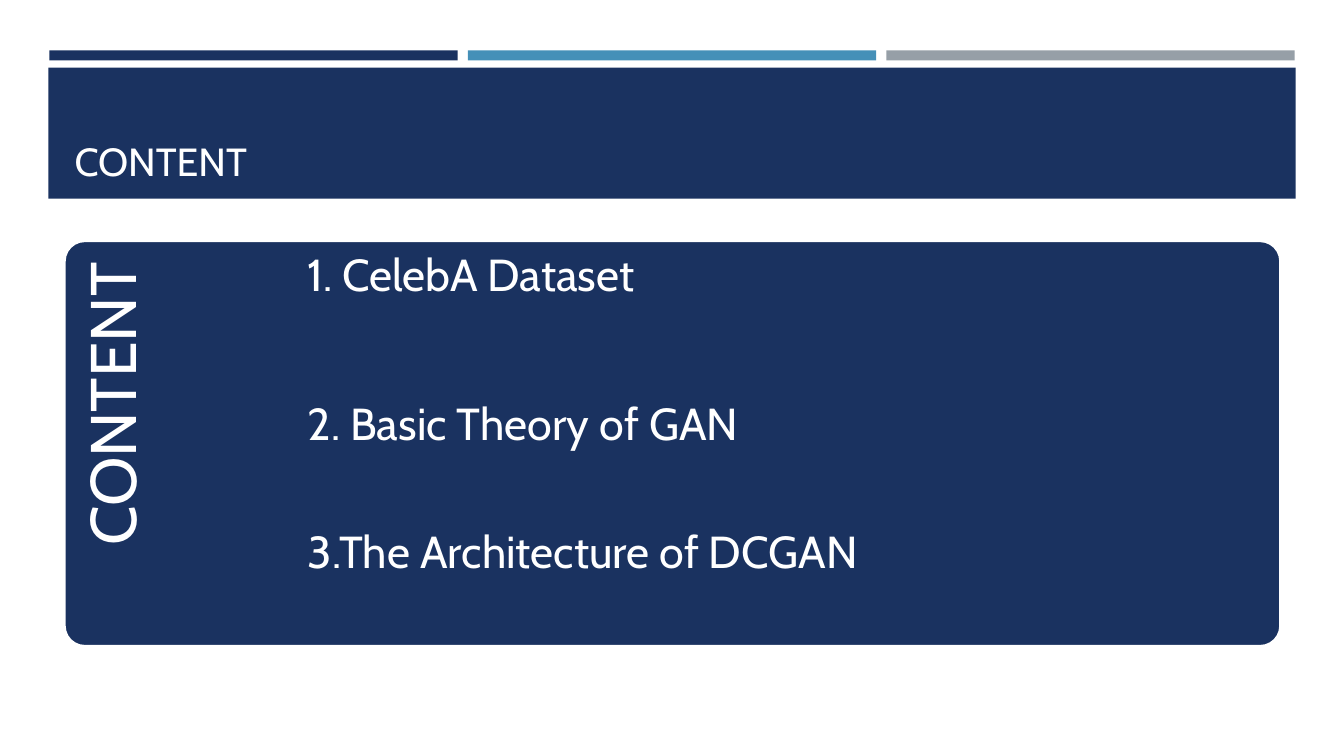
from pptx import Presentation
from pptx.dml.color import RGBColor
from pptx.enum.shapes import MSO_SHAPE
from pptx.enum.text import MSO_ANCHOR, MSO_AUTO_SIZE, PP_ALIGN
from pptx.util import Inches, Pt

RECTANGLE, ROUNDED = MSO_SHAPE.RECTANGLE, MSO_SHAPE.ROUNDED_RECTANGLE
TOP, BOTTOM = MSO_ANCHOR.TOP, MSO_ANCHOR.BOTTOM
LEFT, RIGHT = PP_ALIGN.LEFT, PP_ALIGN.RIGHT
NO_FIT = MSO_AUTO_SIZE.NONE

FONT = "Cabin"
COLORS = {"navy": "1A3260", "blue": "4590B8", "gray": "969FA7", "white": "FFFFFF"}

SLIDE_WIDTH, SLIDE_HEIGHT = 13.33, 7.5
BAR_LEFT, BAR_WIDTH, BAR_STEP = 0.49, 4.05, 4.15
CONTENT_LEFT, CONTENT_WIDTH = 0.64, 12.06
PANEL_TOP, PANEL_HEIGHT = 2.39, 4.02

# Each agenda line with the space before it in points
AGENDA = [
    ("1. CelebA Dataset", 0),
    ("2. Basic Theory of GAN", 72),
    ("3.The Architecture of DCGAN", 56.5),
]


def color(name):
    return RGBColor.from_string(COLORS[name])


def add_block(slide, box, fill, kind=RECTANGLE, line=None):
    shape = slide.shapes.add_shape(kind, *map(Inches, box))
    shape.shadow.inherit = False
    shape.fill.solid()
    shape.fill.fore_color.rgb = color(fill)
    if line:
        shape.line.color.rgb = color(line)
        shape.line.width = Pt(1.75)
    else:
        shape.line.fill.background()
    return shape


def set_frame(shape, insets, anchor=TOP):
    frame = shape.text_frame
    frame.word_wrap = True
    frame.auto_size = NO_FIT
    frame.vertical_anchor = anchor
    (frame.margin_left, frame.margin_top,
     frame.margin_right, frame.margin_bottom) = map(Inches, insets)
    return frame


def write(paragraph, text, size, align=LEFT, spacing=0.9, before=0):
    paragraph.alignment = align
    paragraph.line_spacing = spacing
    paragraph.space_before = Pt(before)
    run = paragraph.add_run()
    run.text = text
    run.font.name = FONT
    run.font.size = Pt(size)
    run.font.color.rgb = color("white")


def add_header(slide):
    for column, fill in enumerate(("navy", "blue", "gray")):
        add_block(slide, (BAR_LEFT + column * BAR_STEP, 0.5, BAR_WIDTH, 0.1), fill)
    add_block(slide, (0.48, 0.67, 12.37, 1.3), "navy")

    # The title stands in front of its band
    title = slide.shapes.title
    title.element.getparent().append(title.element)
    title.left, title.top = Inches(CONTENT_LEFT), Inches(0.77)
    title.width, title.height = Inches(CONTENT_WIDTH), Inches(1.11)
    frame = set_frame(title, (0.1, 0.05, 0.1, 0.05), BOTTOM)
    write(frame.paragraphs[0], "CONTENT", 28, spacing=1.0)


def add_agenda(slide):
    panel = add_block(slide, (CONTENT_LEFT, PANEL_TOP, CONTENT_WIDTH, PANEL_HEIGHT),
                      "navy", ROUNDED, "white")
    panel.adjustments[0] = 0.05

    # Vertical label
    label = slide.shapes.add_textbox(*map(Inches, (0.19, 2.83, 3.3, 2.41)))
    label.rotation = 270
    frame = set_frame(label, (0, 0.17, 0.22, 0))
    write(frame.paragraphs[0], "CONTENT", 46, align=RIGHT)

    # Agenda lines
    agenda = slide.shapes.add_textbox(*map(Inches, (3.05, PANEL_TOP, 8.99, PANEL_HEIGHT)))
    frame = set_frame(agenda, (0, 0.12, 0, 0))
    for index, (text, before) in enumerate(AGENDA):
        paragraph = frame.add_paragraph() if index else frame.paragraphs[0]
        write(paragraph, text, 32, before=before)


def main():
    presentation = Presentation()
    presentation.slide_width = Inches(SLIDE_WIDTH)
    presentation.slide_height = Inches(SLIDE_HEIGHT)
    title_only = presentation.slide_layouts[5]
    slide = presentation.slides.add_slide(title_only)
    add_header(slide)
    add_agenda(slide)
    presentation.save("out.pptx")


if __name__ == "__main__":
    main()
